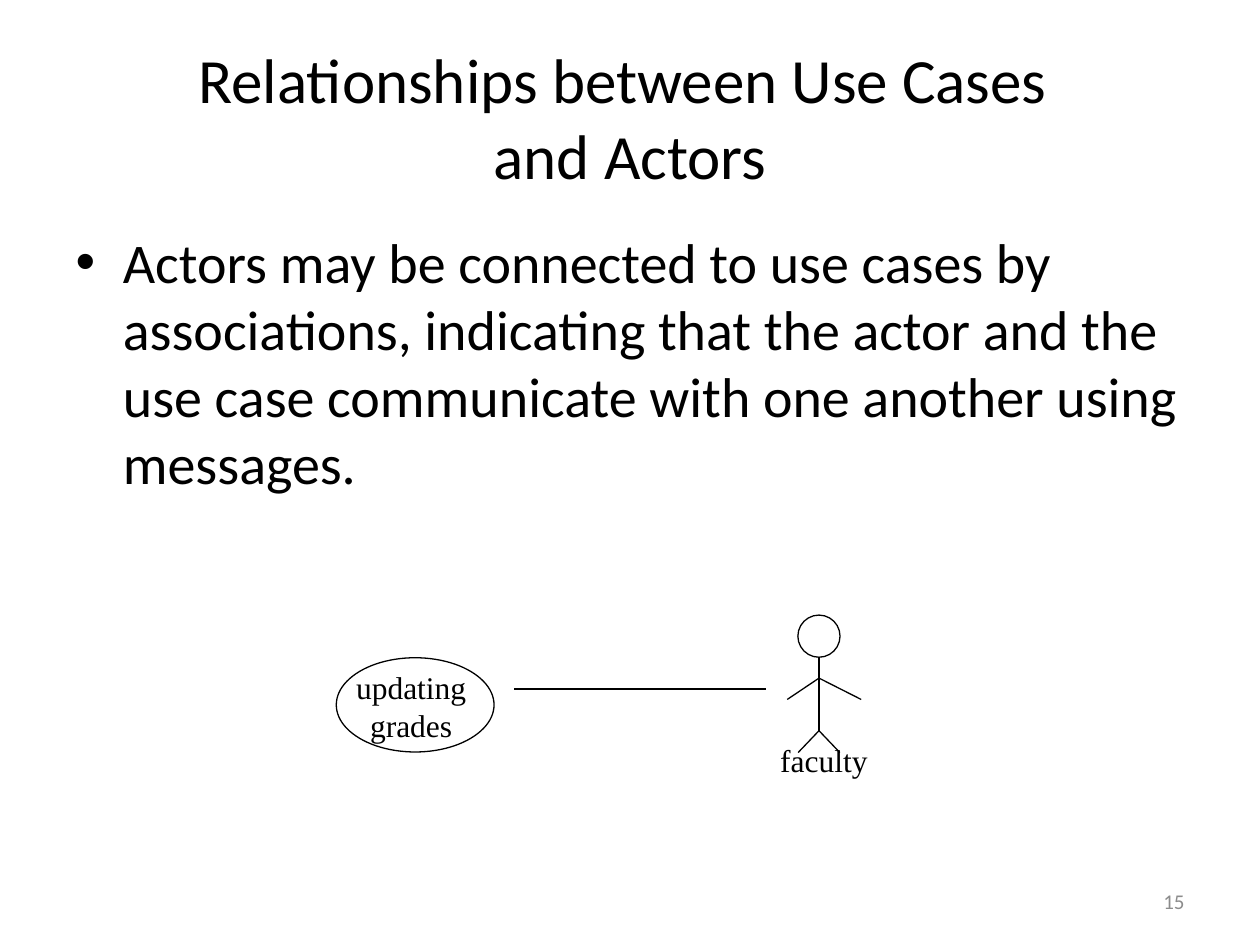
import pptx
import pptx.util
import pptx.dml.color
import pptx.enum.shapes
import pptx.enum.text
import pptx.oxml.ns
import lxml.etree

Cm = pptx.util.Cm
Pt = pptx.util.Pt
ALIGN = pptx.enum.text.PP_ALIGN
ANCHOR = pptx.enum.text.MSO_ANCHOR
BLACK = pptx.dml.color.RGBColor(0x00, 0x00, 0x00)
GRAY = pptx.dml.color.RGBColor(0x8C, 0x8C, 0x8C)
SANS = "Calibri"
SERIF = "Times New Roman"


def place(shape, box):
    shape.left, shape.top, shape.width, shape.height = map(Cm, box)


def write(para, text, size, font=SANS, color=BLACK):
    run = para.add_run()
    run.text = text
    run.font.size = Pt(size)
    run.font.name = font
    run.font.color.rgb = color


def add_label(shapes, box, lines, size, font, color=BLACK, align=ALIGN.CENTER):
    label = shapes.add_textbox(*map(Cm, box))
    frame = label.text_frame
    frame.word_wrap = True
    for i, line in enumerate(lines):
        para = frame.add_paragraph() if i else frame.paragraphs[0]
        para.alignment = align
        write(para, line, size, font, color)
    return frame


def add_oval(shapes, box):
    oval = shapes.add_shape(pptx.enum.shapes.MSO_SHAPE.OVAL, *map(Cm, box))
    oval.shadow.inherit = False
    oval.fill.background()
    oval.line.color.rgb = BLACK
    oval.line.width = Pt(0.75)


def add_line(shapes, start, end):
    line = shapes.add_connector(
        pptx.enum.shapes.MSO_CONNECTOR.STRAIGHT, *map(Cm, start + end))
    line.line.color.rgb = BLACK
    line.line.width = Pt(0.75)
    props = line._element.spPr
    lxml.etree.SubElement(props, pptx.oxml.ns.qn("a:effectLst"))


def fill_title(title, box):
    place(title, box)
    frame = title.text_frame
    frame.vertical_anchor = ANCHOR.MIDDLE
    para = frame.paragraphs[0]
    para.alignment = ALIGN.CENTER
    write(para, "Relationships between Use Cases ", 36)
    para.add_line_break()
    write(para, "and Actors", 36)


def fill_body(body, box):
    place(body, box)
    write(body.text_frame.paragraphs[0],
          "Actors may be connected to use cases by associations, indicating "
          "that the actor and the use case communicate with one another "
          "using messages.", 32)


def draw_case(shapes, box):
    """Draw a use case: an oval around its name."""
    left, top, width, height = box
    add_oval(shapes, box)
    add_label(shapes, (left + 0.05, top + 0.08, width - 0.26, height - 0.12),
              ["updating", "grades"], 18, SERIF)


def draw_actor(shapes, box):
    """Draw a stick figure with its name at the foot of the box."""
    left, top, width, height = box
    axis = left + 1.07
    head = 0.85
    neck, arms, hands, hip, feet = (
        top + y for y in (head, 1.27, 1.7, 2.33, 2.77))
    add_oval(shapes, (axis - head / 2, top, head, head))
    add_line(shapes, (axis, neck), (axis, hip))
    for joint, tip, shift in ((arms, hands, 0.85), (arms, hands, -0.64),
                              (hip, feet, 0.42), (hip, feet, -0.42)):
        add_line(shapes, (axis, joint), (axis + shift, tip))
    add_label(shapes, (left, top + height - 1.02, width, 1.02),
              ["faculty"], 18, SERIF)


def draw_scene(slide, box):
    """Draw the use case, the actor and the association between them."""
    left, top, width, height = box
    shapes = slide.shapes.add_group_shape().shapes
    draw_case(shapes, (left, top + 0.86, 3.18, 1.9))
    draw_actor(shapes, (left + width - 2.34, top, 2.34, height))
    level = top + 1.49
    add_line(shapes, (left + width - 2.34, level), (left + 3.59, level))


def add_number(slide, box):
    frame = add_label(slide.shapes, box, ["15"], 12, SANS, GRAY, ALIGN.RIGHT)
    frame.vertical_anchor = ANCHOR.MIDDLE


def main():
    deck = pptx.Presentation()
    deck.slide_width, deck.slide_height = Cm(25.4), Cm(19.05)
    slide = deck.slides.add_slide(deck.slide_layouts[1])
    fill_title(slide.shapes.title, (1.27, 0.76, 22.86, 3.18))
    fill_body(slide.placeholders[1], (1.27, 4.45, 22.86, 12.57))
    draw_scene(slide, (6.78, 12.4, 11, 3.43))
    add_number(slide, (18.2, 17.66, 5.93, 1.01))
    deck.save("out.pptx")


if __name__ == "__main__":
    main()
